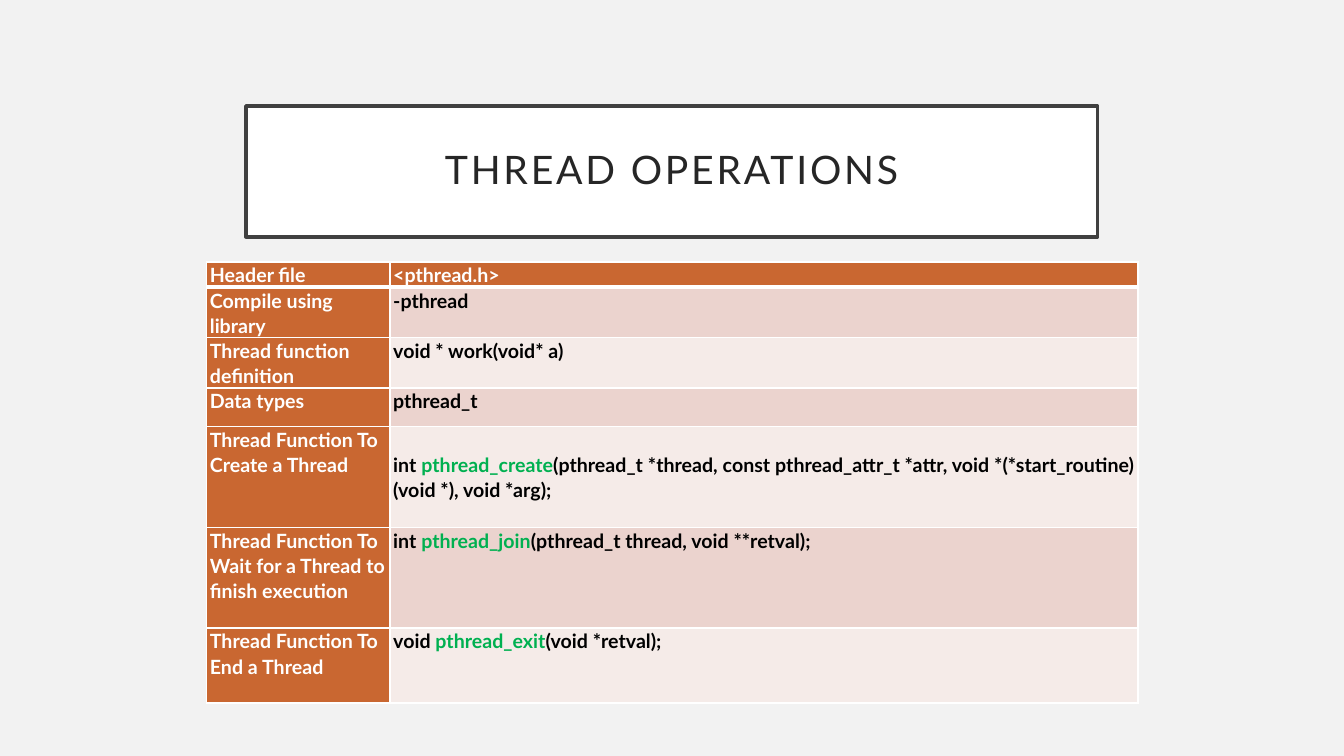
from dataclasses import dataclass

from lxml import etree
from pptx import Presentation
from pptx import util as u
from pptx.dml import color
from pptx.enum import shapes, text
from pptx.oxml import ns


@dataclass(frozen=True)
class Theme:
    font: str = "Lato"
    title_size: float = 28
    table_size: float = 14
    backdrop: str = "F2F2F2"
    white: str = "FFFFFF"
    frame: str = "404040"
    title: str = "262626"
    body: str = "000000"
    function: str = "00B050"
    accent: str = "C96731"
    bands: tuple = ("F5EBE8", "EBD3CE")


THEME = Theme()

OPERATIONS = [
    (0.63, "Header file", ("<pthread.h>",)),
    (1.27, "Compile using library", ("-pthread",)),
    (1.27, "Thread function definition", ("void * work(void* a)",)),
    (0.97, "Data types", ("pthread_t",)),
    (2.54, "Thread Function To Create a Thread",
     ("int ", "pthread_create",
      "(pthread_t *thread, const pthread_attr_t *attr, "
      "void *(*start_routine) (void *), void *arg);")),
    (2.54, "Thread Function To Wait for a Thread to finish execution",
     ("int ", "pthread_join", "(pthread_t thread, void **retval);")),
    (1.89, "Thread Function To End a Thread",
     ("void ", "pthread_exit", "(void *retval);")),
]
CENTRED_ROW = 4


def rgb(value):
    return color.RGBColor.from_string(value)


def add_span(para, words, size, ink, bold=False):
    span = para.add_run()
    span.text = words
    span.font.name = THEME.font
    span.font.size = u.Pt(size)
    span.font.bold = bold
    span.font.color.rgb = rgb(ink)
    return span


def set_borders(cell, top, bottom):
    properties = cell._tc.get_or_add_tcPr()
    widths = {"lnL": 1, "lnR": 1, "lnT": top, "lnB": bottom}
    for index, (side, width) in enumerate(widths.items()):
        line = etree.Element(ns.qn(f"a:{side}"), w=str(u.Pt(width)))
        fill = etree.SubElement(line, ns.qn("a:solidFill"))
        etree.SubElement(fill, ns.qn("a:srgbClr"), val=THEME.white)
        properties.insert(index, line)


def fill_cell(cell, spans, fill, inks, alignment):
    cell.margin_left = cell.margin_right = u.Cm(0.08)
    cell.margin_top = cell.margin_bottom = 0
    cell.fill.solid()
    cell.fill.fore_color.rgb = rgb(fill)
    para = cell.text_frame.paragraphs[0]
    para.alignment = alignment
    para.line_spacing = 1.07
    for words, ink in zip(spans, inks):
        add_span(para, words, THEME.table_size, ink, bold=True)


def add_title(page, left, top, width, height):
    box = page.shapes.add_shape(
        shapes.MSO_SHAPE.RECTANGLE,
        u.Cm(left), u.Cm(top), u.Cm(width), u.Cm(height))
    box.shadow.inherit = False
    box.fill.solid()
    box.fill.fore_color.rgb = rgb(THEME.white)
    box.line.color.rgb = rgb(THEME.frame)
    box.line.width = u.Pt(2.5)
    frame = box.text_frame
    frame.word_wrap = True
    frame.vertical_anchor = text.MSO_ANCHOR.MIDDLE
    para = frame.paragraphs[0]
    para.alignment = text.PP_ALIGN.CENTER
    para.line_spacing = 0.9
    span = add_span(para, "THREAD OPERATIONS", THEME.title_size, THEME.title)
    span.font._element.set("spc", "200")


def add_operations(page, left, top, width, label_width):
    height = sum(row[0] for row in OPERATIONS)
    table = page.shapes.add_table(
        len(OPERATIONS), 2,
        u.Cm(left), u.Cm(top), u.Cm(width), u.Cm(height)).table
    table.columns[0].width = u.Cm(label_width)
    table.columns[1].width = u.Cm(width - label_width)
    for index, (row_height, label, code) in enumerate(OPERATIONS):
        table.rows[index].height = u.Cm(row_height)
        label_cell, code_cell = table.cell(index, 0), table.cell(index, 1)
        header = index == 0
        ink = THEME.white if header else THEME.body
        fill = THEME.accent if header else THEME.bands[index % 2]
        fill_cell(label_cell, (label,), THEME.accent, (THEME.white,),
                  text.PP_ALIGN.LEFT)
        fill_cell(code_cell, code, fill, (ink, THEME.function, ink),
                  text.PP_ALIGN.JUSTIFY)
        for cell in (label_cell, code_cell):
            set_borders(cell, 3 if index == 1 else 1, 3 if header else 1)
    table.cell(CENTRED_ROW, 1).vertical_anchor = text.MSO_ANCHOR.MIDDLE


def main():
    deck = Presentation()
    deck.slide_width, deck.slide_height = u.Cm(33.87), u.Cm(19.05)
    page = deck.slides.add_slide(deck.slide_layouts[6])
    page.background.fill.solid()
    page.background.fill.fore_color.rgb = rgb(THEME.backdrop)
    add_title(page, 6.2, 2.67, 21.46, 3.3)
    add_operations(page, 5.21, 6.6, 23.47, 4.62)
    deck.save("out.pptx")


if __name__ == "__main__":
    main()
